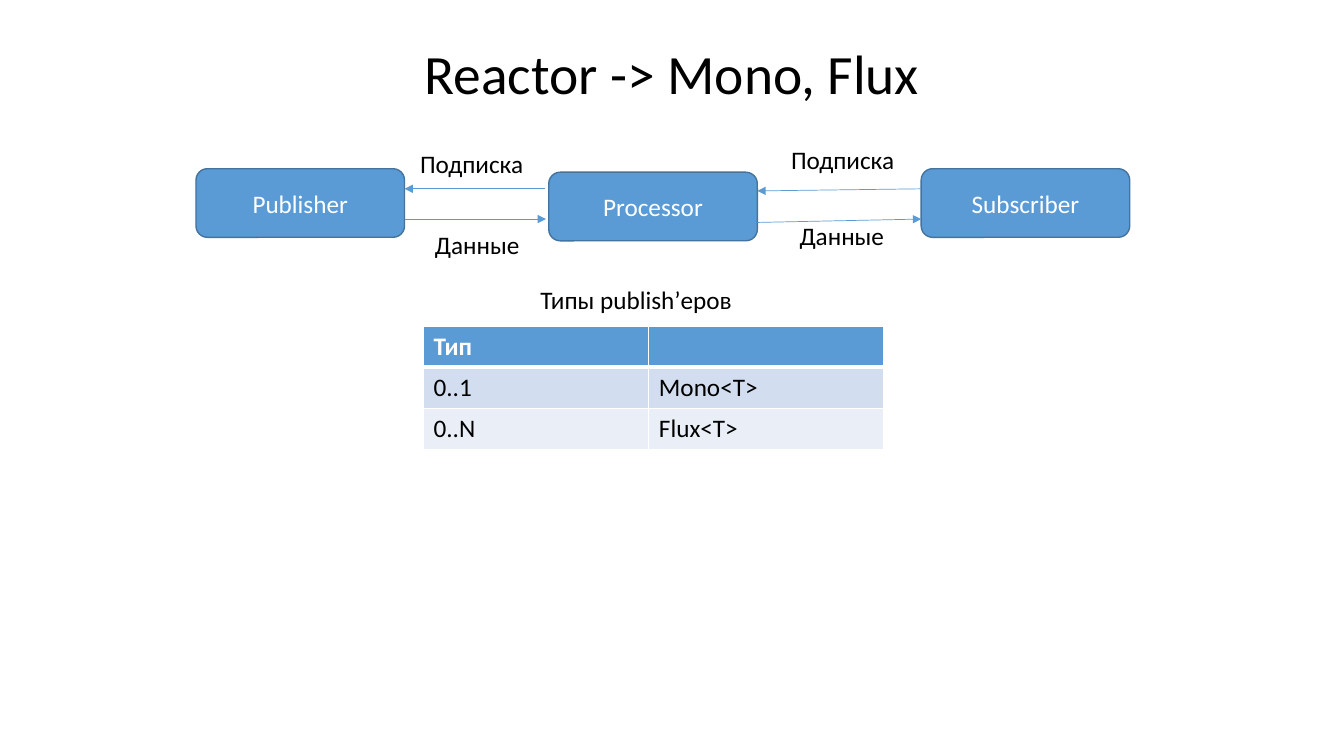
from lxml.etree import SubElement
from pptx import Presentation
from pptx.dml.color import RGBColor
from pptx.enum.shapes import MSO_CONNECTOR as Connector, MSO_SHAPE as Shape
from pptx.enum.text import MSO_ANCHOR as Anchor, PP_ALIGN as Align
from pptx.oxml.ns import qn
from pptx.util import Pt

BLACK = RGBColor(0x00, 0x00, 0x00)
WHITE = RGBColor(0xFF, 0xFF, 0xFF)
BLUE = RGBColor(0x5B, 0x9B, 0xD5)
DARK_BLUE = RGBColor(0x43, 0x73, 0x9E)
BAND_DARK = RGBColor(0xD2, 0xDE, 0xEF)
BAND_LIGHT = RGBColor(0xEA, 0xEF, 0xF7)
FONT = "Calibri"


def write_text(frame, text, size=18, color=BLACK, bold=False, align=Align.LEFT, spacing=1.0):
    paragraph = frame.paragraphs[0]
    paragraph.alignment = align
    paragraph.line_spacing = spacing
    paragraph.font.size = Pt(size)
    if text:
        run = paragraph.add_run()
        run.text = text
        run.font.name = FONT
        run.font.size = Pt(size)
        run.font.bold = bold
        run.font.color.rgb = color


class SlideBuilder:
    box_size = (149, 49)
    label_height = 29
    row_height = 29.3

    def __init__(self, slide):
        self.shapes = slide.shapes

    def title(self, text, left, top, width, height):
        shape = self.shapes.add_textbox(Pt(left), Pt(top), Pt(width), Pt(height))
        shape.text_frame.word_wrap = True
        shape.text_frame.vertical_anchor = Anchor.MIDDLE
        write_text(shape.text_frame, text, size=39.6, align=Align.CENTER, spacing=0.9)

    def label(self, text, left, top, width):
        shape = self.shapes.add_textbox(Pt(left), Pt(top), Pt(width), Pt(self.label_height))
        shape.text_frame.word_wrap = False
        write_text(shape.text_frame, text)

    def box(self, text, left, top):
        width, height = self.box_size
        shape = self.shapes.add_shape(
            Shape.ROUNDED_RECTANGLE, Pt(left), Pt(top), Pt(width), Pt(height))
        shape.shadow.inherit = False
        shape.fill.solid()
        shape.fill.fore_color.rgb = BLUE
        shape.line.color.rgb = DARK_BLUE
        shape.line.width = Pt(1)
        shape.text_frame.vertical_anchor = Anchor.MIDDLE
        write_text(shape.text_frame, text, color=WHITE, align=Align.CENTER)

    def arrow(self, *ends):
        connector = self.shapes.add_connector(Connector.STRAIGHT, *map(Pt, ends))
        connector.line.color.rgb = BLUE
        connector.line.width = Pt(0.5)
        SubElement(connector.line._get_or_add_ln(), qn("a:tailEnd"), type="triangle")
        SubElement(connector._element.spPr, qn("a:effectLst"))

    def cell_borders(self, cell, top, bottom):
        properties = cell._tc.get_or_add_tcPr()
        for side, width in (("L", 1), ("R", 1), ("T", top), ("B", bottom)):
            line = SubElement(properties, qn(f"a:ln{side}"), w=str(Pt(width)))
            fill = SubElement(line, qn("a:solidFill"))
            SubElement(fill, qn("a:srgbClr"), val=str(WHITE))

    def table(self, rows, fills, left, top, widths):
        table = self.shapes.add_table(
            len(rows), len(widths), Pt(left), Pt(top),
            Pt(sum(widths)), Pt(self.row_height * len(rows))).table
        for column, width in zip(table.columns, widths):
            column.width = Pt(width)
        for index, (texts, fill) in enumerate(zip(rows, fills)):
            header = index == 0
            table.rows[index].height = Pt(self.row_height)
            for column, text in enumerate(texts):
                cell = table.cell(index, column)
                self.cell_borders(cell, top=3 if index == 1 else 1, bottom=3 if header else 1)
                cell.fill.solid()
                cell.fill.fore_color.rgb = fill
                write_text(cell.text_frame, text, color=WHITE if header else BLACK, bold=header)


def main():
    presentation = Presentation()
    presentation.slide_width, presentation.slide_height = Pt(960), Pt(540)
    builder = SlideBuilder(presentation.slides.add_slide(presentation.slide_layouts[6]))

    builder.title("Reactor -> Mono, Flux", 66, 29, 828, 51)

    # Stream participants
    for name, left, top in (("Publisher", 140, 120.5), ("Processor", 392, 123),
                            ("Subscriber", 658, 120.5)):
        builder.box(name, left, top)

    # Subscriptions run left, data runs right
    for ends in ((389.5, 134.9, 289, 134.9), (289, 156.5, 390, 156.5),
                 (658, 134.9, 541, 136.4), (541, 158.9, 658, 156.5)):
        builder.arrow(*ends)
    for left, top in ((293, 102.5), (558, 99.5)):
        builder.label("Подписка", left, top, 89)
    for left, top in ((303.5, 160), (564, 154)):
        builder.label("Данные", left, top, 75.5)

    # Publisher types
    builder.label("Типы publish’еров", 379, 199.5, 152.5)
    builder.table([("Тип", ""), ("0..1", "Mono<T>"), ("0..N", "Flux<T>")],
                  [BLUE, BAND_DARK, BAND_LIGHT], left=302.5, top=233, widths=(161, 168))

    presentation.save("out.pptx")


if __name__ == "__main__":
    main()
